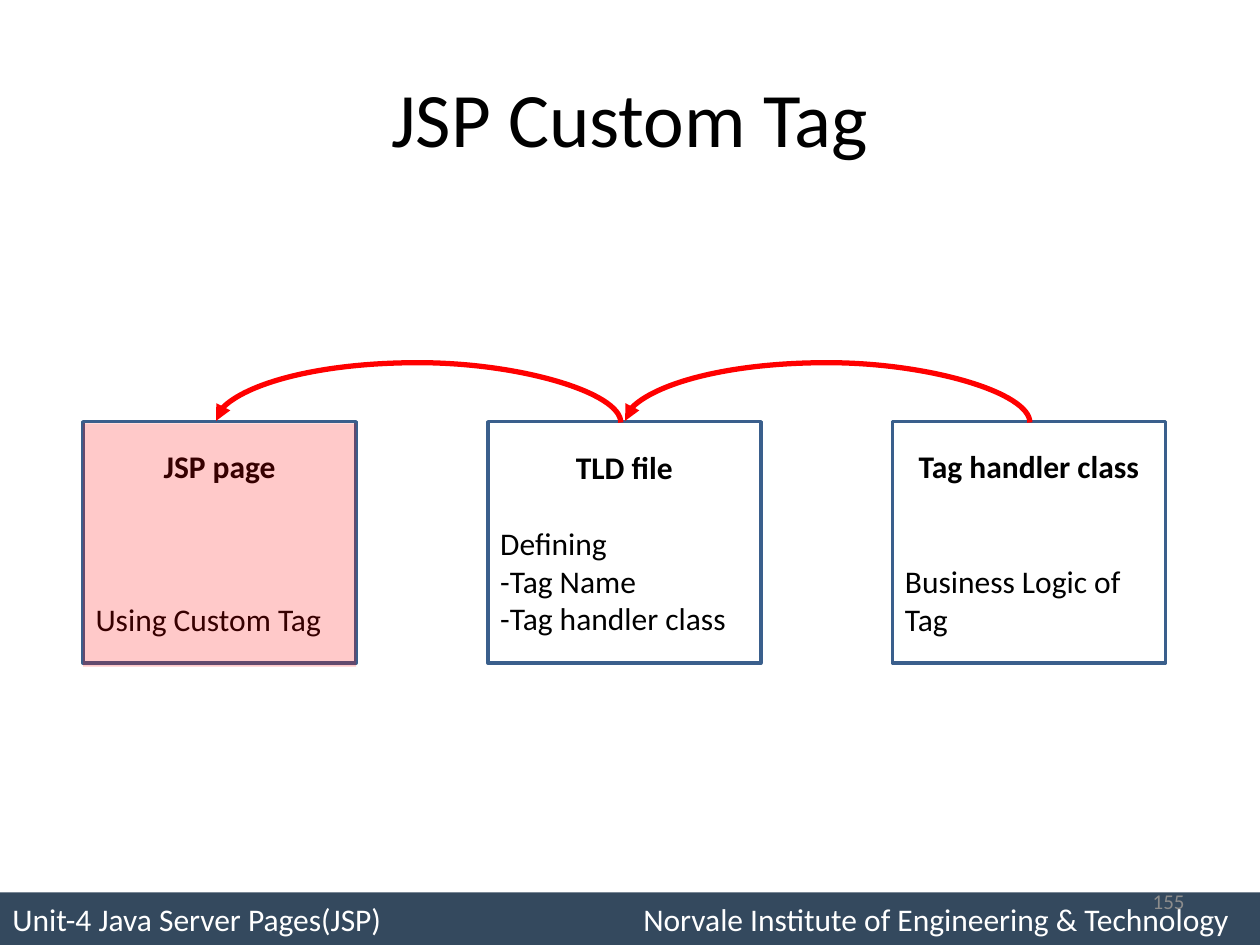
from dataclasses import dataclass

from lxml.etree import SubElement
from pptx import Presentation
from pptx.dml.color import RGBColor
from pptx.enum.shapes import MSO_CONNECTOR, MSO_SHAPE
from pptx.enum.text import MSO_ANCHOR, PP_ALIGN
from pptx.oxml.ns import qn
from pptx.util import Pt


@dataclass(frozen=True)
class Theme:
    font: str = "Calibri"
    ink: str = "000000"
    white: str = "FFFFFF"
    grey: str = "8C8C8C"
    bar: str = "34495E"
    edge: str = "3A5F8C"
    red: str = "FF0000"
    head: int = 44
    body: int = 18
    small: int = 12
    step: int = 22  # height of one body line


T = Theme()


def rgb(code):
    return RGBColor.from_string(code)


def write(frame, text, size=T.body, color=T.ink, bold=False,
          align=PP_ALIGN.LEFT, gap=0, first=True):
    """Write one paragraph, with a gap above it."""
    frame.word_wrap = True
    frame.vertical_anchor = MSO_ANCHOR.MIDDLE
    para = frame.paragraphs[0] if first else frame.add_paragraph()
    para.alignment = align
    para.space_before = Pt(gap)
    run = para.add_run()
    run.text = text
    font = run.font
    font.name, font.size, font.bold = T.font, Pt(size), bold
    font.color.rgb = rgb(color)


def label(slide, box, text, **style):
    area = slide.shapes.add_textbox(*map(Pt, box))
    write(area.text_frame, text, **style)


def rect(slide, box, fill=None, line=None, alpha=None):
    shape = slide.shapes.add_shape(MSO_SHAPE.RECTANGLE, *map(Pt, box))
    shape.shadow.inherit = False
    if fill:
        shape.fill.solid()
        shape.fill.fore_color.rgb = rgb(fill)
    else:
        shape.fill.background()
    if line:
        shape.line.color.rgb = rgb(line)
        shape.line.width = Pt(2)
    else:
        shape.line.fill.background()
    if alpha:
        tone = shape.fill._xPr.find(".//" + qn("a:srgbClr"))
        SubElement(tone, qn("a:alpha"), val=str(alpha * 1000))
    return shape


def footer(slide, box, left, right):
    x, y, w, h = box
    bar = rect(slide, box, fill=T.bar)
    write(bar.text_frame, left, color=T.white)
    label(slide, (x + w / 2, y, w / 2 - 10.5, h), right,
          color=T.white, align=PP_ALIGN.RIGHT)


def card(slide, box, head, lines, skip):
    """Outlined box: bold heading, then lines after `skip` line heights."""
    frame = rect(slide, box, line=T.edge).text_frame
    write(frame, head, bold=True, align=PP_ALIGN.CENTER)
    for i, line in enumerate(lines):
        write(frame, line, gap=0 if i else skip * T.step, first=False)


def arc(slide, box):
    """Curved arrow from the right end of the box's base to the left end."""
    x, y, w, rise = box
    mid, base = x + w / 2, y + rise
    # A one-point-wide upright connector, turned a quarter to the left
    ends = mid - 0.5, base + w / 2, mid + 0.5, base - w / 2
    link = slide.shapes.add_connector(MSO_CONNECTOR.CURVE, *map(Pt, ends))
    link.line.color.rgb = rgb(T.red)
    link.line.width = Pt(3)
    props = link._element.spPr
    props.find(qn("a:xfrm")).set("rot", str(270 * 60000))
    geom = props.find(qn("a:prstGeom"))
    guides = geom.find(qn("a:avLst"))
    if guides is None:
        guides = SubElement(geom, qn("a:avLst"))
    SubElement(guides, qn("a:gd"), name="adj1", fmla=f"val {int(rise * 100000)}")
    SubElement(props.find(qn("a:ln")), qn("a:tailEnd"), type="triangle")
    SubElement(props, qn("a:effectLst"))


def flow(slide, box, cards):
    """Row of cards, each linked back to the one on its left."""
    x, y, w, h = box
    wide, rise = 156, 34.5
    step = (w - wide) / (len(cards) - 1)
    for i, parts in enumerate(cards):
        card(slide, (x + i * step, y, wide, h), *parts)
    # Each arrow lands just beside the next one's start
    for i, shift in enumerate((-2, 0.5)):
        start = x + wide / 2 + i * step + shift
        arc(slide, (start, y - rise, step, rise))
    # Tint over the first card
    rect(slide, (x, y + 1, wide, h + 1), fill=T.red, alpha=21)


def main():
    deck = Presentation()
    deck.slide_width, deck.slide_height = Pt(720), Pt(540)
    slide = deck.slides.add_slide(deck.slide_layouts[6])

    # Footer, title and page number
    footer(slide, (0, 510, 720, 30), "Unit-4 Java Server Pages(JSP)",
           "Norvale Institute of Engineering & Technology")
    label(slide, (36, 21.6, 648, 90), "JSP Custom Tag",
          size=T.head, align=PP_ALIGN.CENTER)
    label(slide, (516, 500.5, 168, 28.8), "155",
          size=T.small, color=T.grey, align=PP_ALIGN.RIGHT)

    # Custom tag flow
    flow(slide, (47.5, 241, 618.5, 138), [
        ("JSP page", ["Using Custom Tag"], 3),
        ("TLD file", ["Defining", "-Tag Name", "-Tag handler class"], 1),
        ("Tag handler class", ["Business Logic of Tag"], 2),
    ])
    deck.save("out.pptx")


if __name__ == "__main__":
    main()
